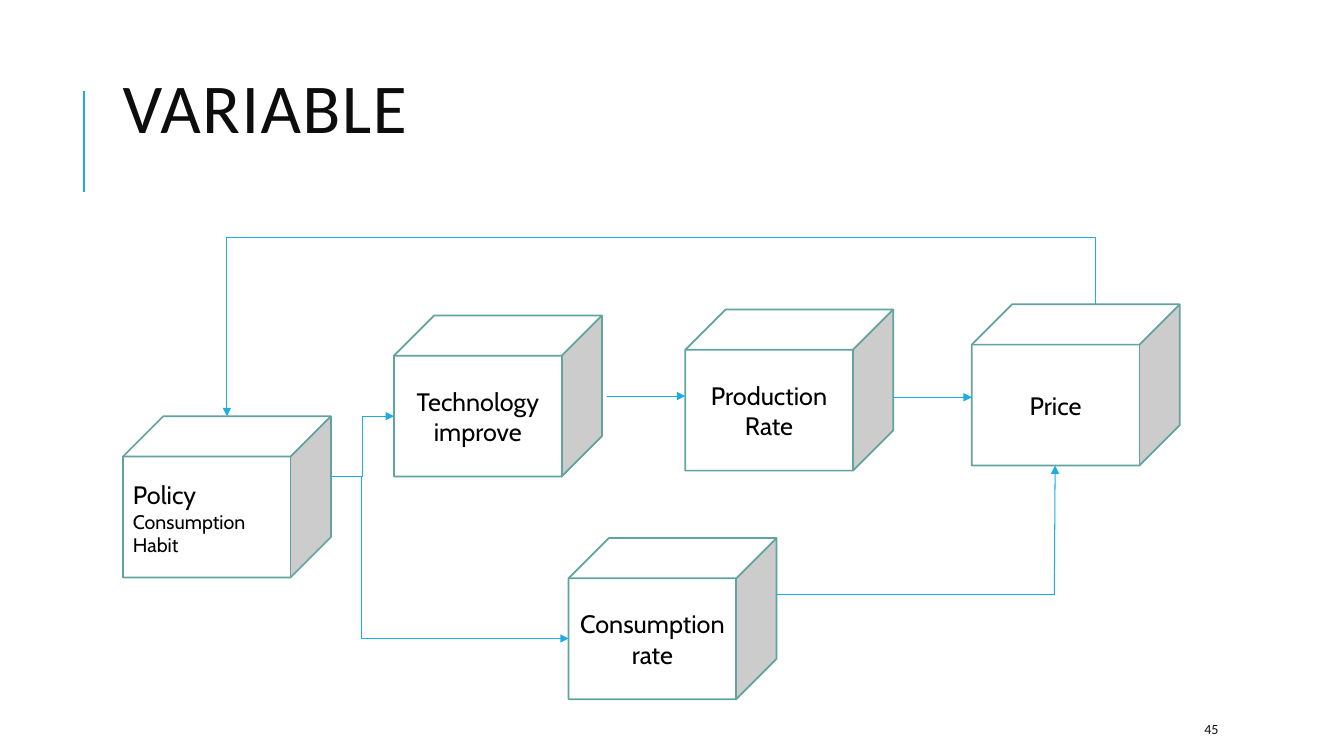
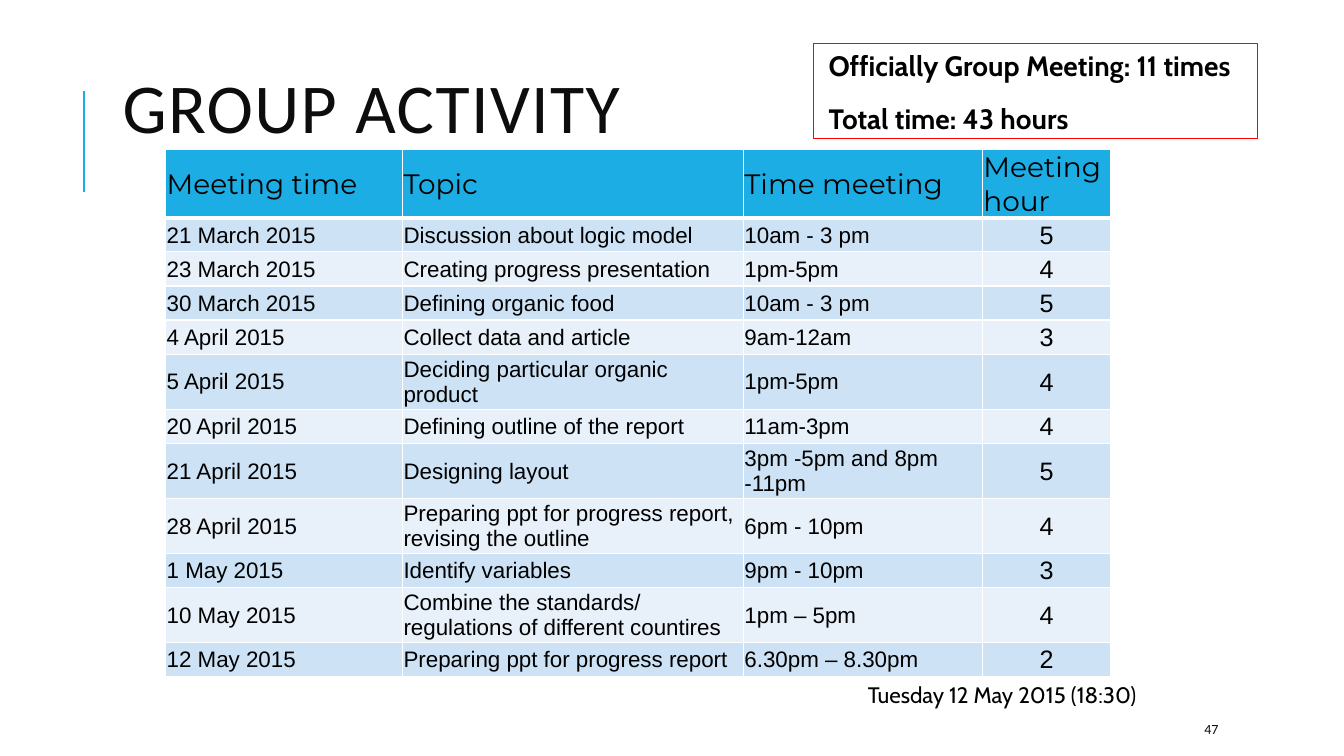
import lxml.etree
import pptx
import pptx.dml.color
import pptx.enum.shapes
import pptx.enum.text
import pptx.oxml.ns
import pptx.util

Cm = pptx.util.Cm
Pt = pptx.util.Pt
rgb = pptx.dml.color.RGBColor.from_string
qn = pptx.oxml.ns.qn
SubElement = lxml.etree.SubElement
MIDDLE = pptx.enum.text.MSO_ANCHOR.MIDDLE
CENTER = pptx.enum.text.PP_ALIGN.CENTER
STRAIGHT = pptx.enum.shapes.MSO_CONNECTOR.STRAIGHT
ELBOW = pptx.enum.shapes.MSO_CONNECTOR.ELBOW

BLUE = "1CADE4"
TEAL = "62A39F"
RED = "FF0000"
WHITE = "FFFFFF"
BLACK = "000000"
INK = "0D0D0D"
BANDS = ["CDE3F5", "E8F1FA"]


def write(frame, lines, font, colour=BLACK, frame_format={}, paragraph_format={}):
    for name, value in frame_format.items():
        setattr(frame, name, value)
    for index, line in enumerate(lines):
        paragraph = frame.add_paragraph() if index else frame.paragraphs[0]
        for name, value in paragraph_format.items():
            setattr(paragraph, name, value)
        run = paragraph.add_run()
        run.text = line
        run.font.color.rgb = rgb(colour)
        for name, value in font.items():
            setattr(run.font, name, value)


def link(slide, start, end, bend=None, vertical=False, arrow=True, weight=0.75):
    (x1, y1), (x2, y2) = start, end
    if vertical:
        mid_x, mid_y = (x1 + x2) / 2, (y1 + y2) / 2
        half_x, half_y = (x2 - x1) / 2, (y2 - y1) / 2
        x1, y1 = mid_x + half_y, mid_y - half_x
        x2, y2 = mid_x - half_y, mid_y + half_x
    kind = STRAIGHT if bend is None else ELBOW
    line = slide.shapes.add_connector(kind, Cm(x1), Cm(y1), Cm(x2), Cm(y2))
    line.line.color.rgb = rgb(BLUE)
    line.line.width = Pt(weight)
    properties = line._element.spPr
    if vertical:
        properties.find(qn("a:xfrm")).set("rot", "16200000")
    if bend is not None:
        guides = properties.find(qn("a:prstGeom")).get_or_add_avLst()
        SubElement(guides, qn("a:gd"), name="adj1", fmla=f"val {round(bend * 100000)}")
    if arrow:
        SubElement(properties.find(qn("a:ln")), qn("a:tailEnd"), type="triangle")
    SubElement(properties, qn("a:effectLst"))


deck = pptx.Presentation()
deck.slide_width = Cm(33.87)
deck.slide_height = Cm(19.05)

slides = []
for heading, number in [("VARIABLE", "45"), ("GROUP ACTIVITY", "47")]:
    slide = deck.slides.add_slide(deck.slide_layouts[6])
    slides.append(slide)
    link(slide, (2.12, 4.83), (2.12, 2.29), arrow=False, weight=1.5)
    title = slide.shapes.add_textbox(Cm(2.84), Cm(1.63), Cm(27), Cm(2.46))
    write(title.text_frame, [heading], {"name": "Calibri", "size": Pt(50)}, INK,
          {"word_wrap": True, "vertical_anchor": MIDDLE}, {"line_spacing": 0.8})
    title.text_frame.paragraphs[0].runs[0]._r.get_or_add_rPr().set("spc", "100")
    page = slide.shapes.add_textbox(Cm(30.1), Cm(17.98), Cm(2.69), Cm(0.76))
    write(page.text_frame, [number], {"name": "Calibri", "size": Pt(10)}, INK,
          {"word_wrap": True, "vertical_anchor": MIDDLE})

variable, activity = slides

CUBE_WIDTH, CUBE_HEIGHT = 5.24, 4.06
cubes = [
    ("", 3.1, 10.49),
    ("Technology improve", 9.93, 7.95),
    ("Price", 24.49, 7.67),
    ("Consumption rate", 14.33, 13.56),
    ("Production Rate", 17.27, 7.8),
]
cube_font = {"name": "Cabin", "size": Pt(18)}
for label, left, top in cubes:
    cube = variable.shapes.add_shape(pptx.enum.shapes.MSO_SHAPE.CUBE, Cm(left), Cm(top),
                                     Cm(CUBE_WIDTH), Cm(CUBE_HEIGHT))
    cube.shadow.inherit = False
    cube.fill.solid()
    cube.fill.fore_color.rgb = rgb(WHITE)
    cube.line.color.rgb = rgb(TEAL)
    cube.line.width = Pt(1.25)
    if label:
        write(cube.text_frame, [label], cube_font, BLACK,
              {"word_wrap": True, "vertical_anchor": MIDDLE}, {"alignment": CENTER})

policy = variable.shapes.add_textbox(Cm(3.1), Cm(11.96), Cm(4.17), Cm(2.24))
write(policy.text_frame, ["Policy", "Consumption Habit"], cube_font, BLACK, {"word_wrap": True})
policy.text_frame.paragraphs[1].runs[0].font.size = Pt(14)

policy_exit = (8.33, 12.01)
link(variable, policy_exit, (9.93, 10.49), bend=0.5)
link(variable, policy_exit, (14.33, 16.09), bend=0.13)
link(variable, (15.29, 9.98), (17.27, 9.98))
link(variable, (22.5, 10.01), (24.49, 10.01))
link(variable, (19.56, 14.99), (26.57, 14.99), arrow=False)
link(variable, (26.57, 14.99), (26.59, 11.73))
link(variable, (27.61, 7.67), (5.72, 10.49), bend=-0.6, vertical=True)

headings = ["Meeting time", "Topic", "Time meeting", "Meeting hour"]
meetings = [
    ("21 March 2015", "Discussion about logic model", "10am - 3 pm", "5"),
    ("23 March 2015", "Creating progress presentation", "1pm-5pm", "4"),
    ("30 March 2015", "Defining organic food", "10am - 3 pm", "5"),
    ("4 April 2015", "Collect data and article", "9am-12am", "3"),
    ("5 April 2015", "Deciding particular organic product", "1pm-5pm", "4"),
    ("20 April 2015", "Defining outline of the report", "11am-3pm", "4"),
    ("21 April 2015", "Designing layout", "3pm -5pm and 8pm -11pm", "5"),
    ("28 April 2015", "Preparing ppt for progress report, revising the outline", "6pm - 10pm", "4"),
    ("1 May 2015", "Identify variables", "9pm - 10pm", "3"),
    ("10 May 2015", "Combine the standards/ regulations of different countires", "1pm – 5pm", "4"),
    ("12 May 2015", "Preparing ppt for progress report", "6.30pm – 8.30pm", "2"),
]
widths = [5.97, 8.59, 6.02, 3.25]
heights = [1.7] + [0.86] * 4 + [1.28, 0.86, 1.28, 1.28, 0.86, 1.28, 0.86]
schedule = activity.shapes.add_table(len(heights), len(widths), Cm(4.17), Cm(3.76),
                                     Cm(sum(widths)), Cm(sum(heights))).table
schedule.first_row = False
schedule.horz_banding = False
for column, width in zip(schedule.columns, widths):
    column.width = Cm(width)
for row, height in zip(schedule.rows, heights):
    row.height = Cm(height)

cell_format = {"margin_left": Cm(0.03), "margin_right": Cm(0.03), "margin_top": Cm(0.03),
               "margin_bottom": 0, "vertical_anchor": MIDDLE}
for row_index, entries in enumerate([headings] + meetings):
    for column_index, entry in enumerate(entries):
        cell = schedule.cell(row_index, column_index)
        for name, value in cell_format.items():
            setattr(cell, name, value)
        is_hour = row_index > 0 and column_index == 3
        if row_index == 0:
            font = {"name": "Montserrat", "size": Pt(20)}
        else:
            font = {"name": "Arial", "size": Pt(18 if is_hour else 16)}
        write(cell.text_frame, [entry], font, paragraph_format={"alignment": CENTER} if is_hour else {})
        properties = cell._tc.get_or_add_tcPr()
        for side in ["L", "R", "T", "B"]:
            heavy = (row_index, side) in [(0, "B"), (1, "T")]
            border = SubElement(properties, qn(f"a:ln{side}"), w=str(Pt(3 if heavy else 1)))
            SubElement(SubElement(border, qn("a:solidFill")), qn("a:srgbClr"), val=WHITE)
        cell.fill.solid()
        cell.fill.fore_color.rgb = rgb(BANDS[(row_index - 1) % 2] if row_index else BLUE)

totals = activity.shapes.add_shape(pptx.enum.shapes.MSO_SHAPE.RECTANGLE,
                                   Cm(20.5), Cm(1.09), Cm(11.18), Cm(2.39))
totals.shadow.inherit = False
totals.fill.background()
totals.line.color.rgb = rgb(RED)
totals.line.width = Pt(0.75)
write(totals.text_frame, ["Officially Group Meeting: 11 times", "Total time: 43 hours"],
      {"name": "Cabin", "size": Pt(20), "bold": True}, BLACK,
      {"word_wrap": True, "vertical_anchor": pptx.enum.text.MSO_ANCHOR.TOP,
       "margin_left": Cm(0.38), "margin_right": Cm(0.13),
       "margin_top": Cm(0.13), "margin_bottom": Cm(0.13)},
      {"alignment": pptx.enum.text.PP_ALIGN.LEFT, "space_after": Pt(4)})
totals.text_frame.paragraphs[1].space_before = Pt(10)

closing_date = activity.shapes.add_textbox(Cm(21.36), Cm(17.04), Cm(7.87), Cm(0.94))
write(closing_date.text_frame, ["Tuesday 12 May 2015 (18:30)"], {"name": "Cabin", "size": Pt(16)},
      BLACK, {"word_wrap": False, "margin_left": Cm(0.51)})

deck.save("out.pptx")
